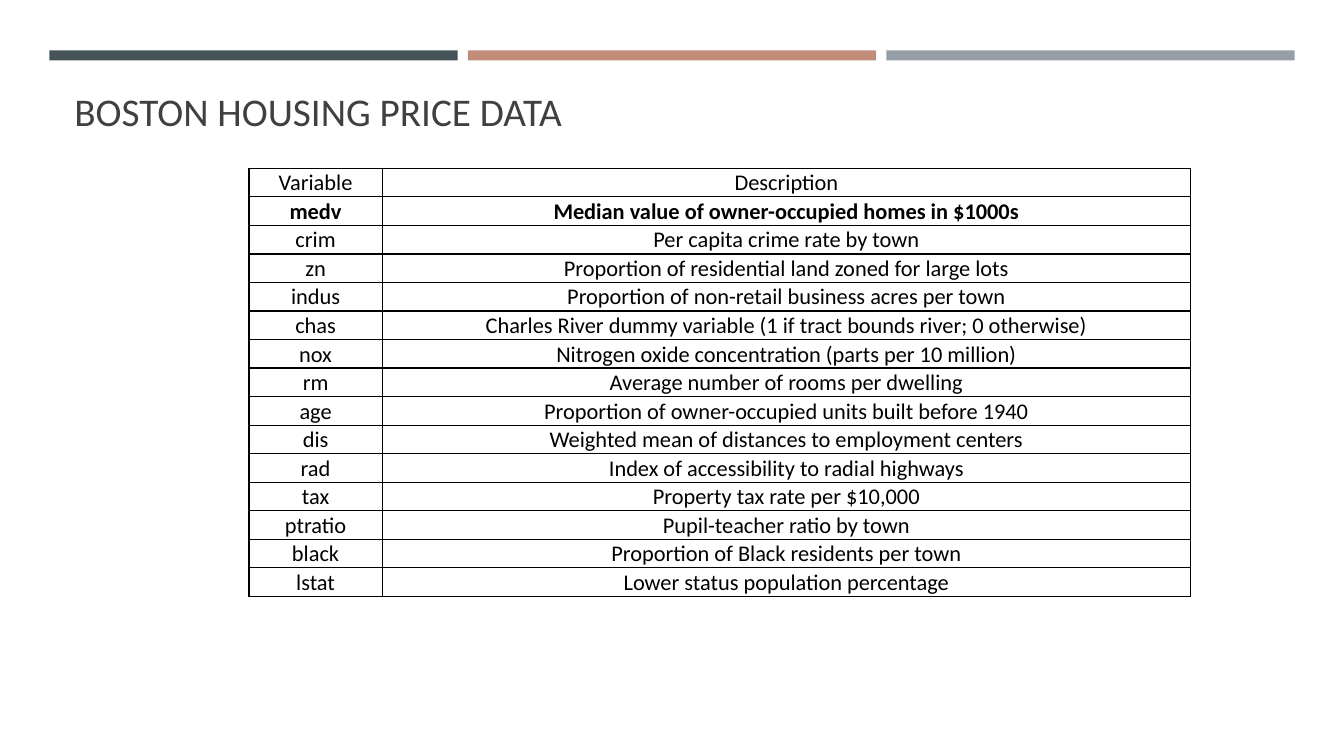
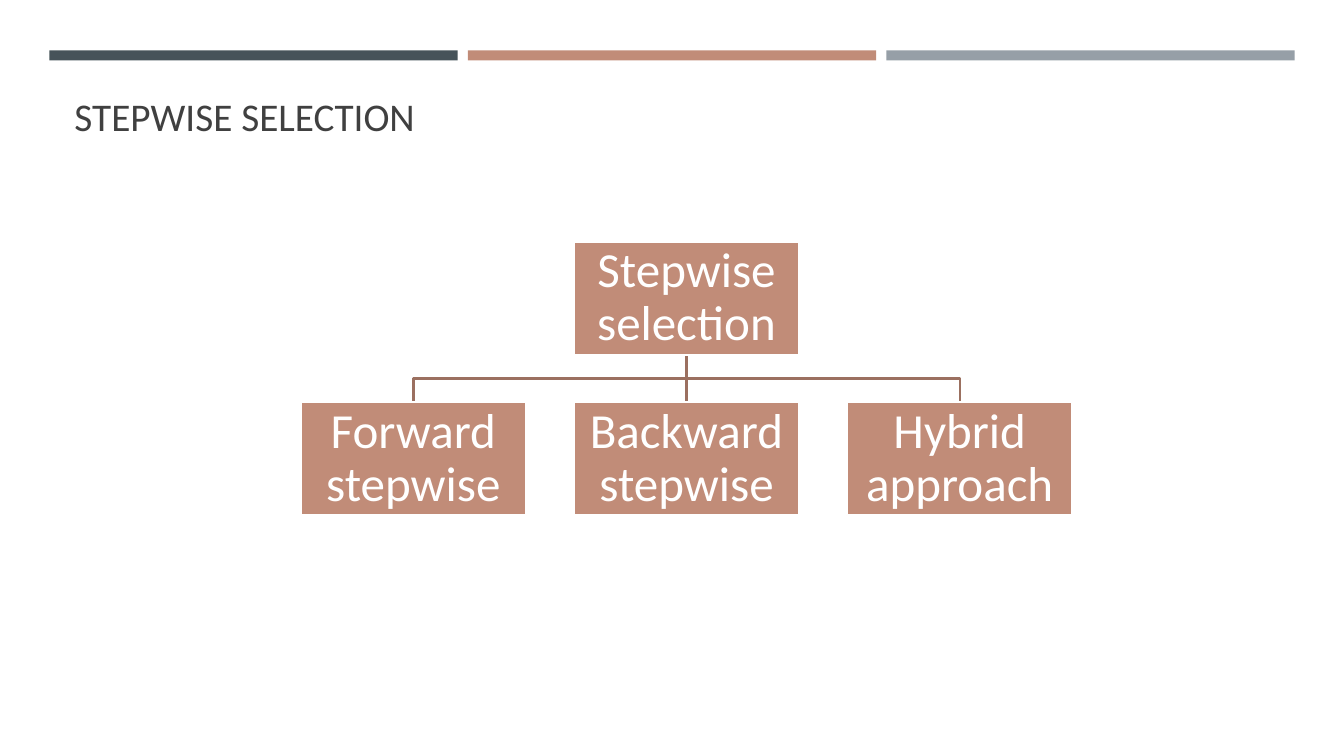
"""Build two slides: the Boston housing variables and the stepwise selection tree."""
from lxml import etree
from pptx import Presentation
from pptx.dml.color import RGBColor
from pptx.enum.shapes import MSO_CONNECTOR, MSO_SHAPE
from pptx.enum.text import MSO_ANCHOR, PP_ALIGN
from pptx.oxml import parse_xml
from pptx.oxml.ns import nsdecls, qn
from pptx.util import Inches, Pt

RECTANGLE = MSO_SHAPE.RECTANGLE
STRAIGHT = MSO_CONNECTOR.STRAIGHT
LEFT, CENTER = PP_ALIGN.LEFT, PP_ALIGN.CENTER
TOP, MIDDLE, BOTTOM = MSO_ANCHOR.TOP, MSO_ANCHOR.MIDDLE, MSO_ANCHOR.BOTTOM

COLORS = {
    "slate": "465359",
    "clay": "C18C78",
    "steel": "969FA7",
    "title": "404040",
    "branch": "9B7060",
    "black": "000000",
    "white": "FFFFFF",
}
FONT = "Calibri"

BAND_LEFT, BAND_TOP, BAND_WIDTH, BAND_HEIGHT, BAND_GAP = 0.49, 0.5, 4.05, 0.1, 0.1
TITLE_LEFT, TITLE_TOP, TITLE_WIDTH = 0.64, 0.77, 12.06

TABLE_LEFT, TABLE_TOP, TABLE_HEIGHT = 2.47, 1.67, 4.25
COLUMN_WIDTHS = [1.32, 8.02]
VARIABLES = [
    ("Variable", "Description"),
    ("medv", "Median value of owner-occupied homes in $1000s"),
    ("crim", "Per capita crime rate by town"),
    ("zn", "Proportion of residential land zoned for large lots"),
    ("indus", "Proportion of non-retail business acres per town"),
    ("chas", "Charles River dummy variable (1 if tract bounds river; 0 otherwise)"),
    ("nox", "Nitrogen oxide concentration (parts per 10 million)"),
    ("rm", "Average number of rooms per dwelling"),
    ("age", "Proportion of owner-occupied units built before 1940"),
    ("dis", "Weighted mean of distances to employment centers"),
    ("rad", "Index of accessibility to radial highways"),
    ("tax", "Property tax rate per $10,000"),
    ("ptratio", "Pupil-teacher ratio by town"),
    ("black", "Proportion of Black residents per town"),
    ("lstat", "Lower status population percentage"),
]

TREE_LEFT, TREE_TOP = 2.98, 2.4
NODE_WIDTH, NODE_HEIGHT = 2.24, 1.12
COLUMN_STEP, ROW_STEP = 2.71, 1.59
NODES = [
    ("Stepwise selection", 1, 0),
    ("Forward stepwise", 0, 1),
    ("Backward stepwise", 1, 1),
    ("Hybrid approach", 2, 1),
]


def write(frame, text, *, size, color, align=LEFT, bold=False, spacing=1.0):
    """Put one formatted paragraph into a text frame."""
    frame.word_wrap = True
    para = frame.paragraphs[0]
    para.alignment = align
    para.line_spacing = spacing
    span = para.add_run()
    span.text = text
    span.font.name = FONT
    span.font.size = Pt(size)
    span.font.bold = bold
    span.font.color.rgb = RGBColor.from_string(COLORS[color])


def add_page(deck, title, title_height):
    """Add a blank page with the three bands and a title."""
    page = deck.slides.add_slide(deck.slide_layouts[6])
    for column, color in enumerate(["slate", "clay", "steel"]):
        band = page.shapes.add_shape(
            RECTANGLE,
            Inches(BAND_LEFT + column * (BAND_WIDTH + BAND_GAP)),
            Inches(BAND_TOP),
            Inches(BAND_WIDTH),
            Inches(BAND_HEIGHT),
        )
        band.shadow.inherit = False
        band.fill.solid()
        band.fill.fore_color.rgb = RGBColor.from_string(COLORS[color])
        band.line.fill.background()
    box = page.shapes.add_textbox(
        Inches(TITLE_LEFT), Inches(TITLE_TOP), Inches(TITLE_WIDTH), Inches(title_height)
    )
    box.text_frame.vertical_anchor = BOTTOM
    write(box.text_frame, title, size=28, color="title")
    return page


deck = Presentation()
deck.slide_width = Inches(13.33)
deck.slide_height = Inches(7.5)

page = add_page(deck, "BOSTON HOUSING PRICE DATA", 0.61)
table = page.shapes.add_table(
    len(VARIABLES),
    len(COLUMN_WIDTHS),
    Inches(TABLE_LEFT),
    Inches(TABLE_TOP),
    Inches(sum(COLUMN_WIDTHS)),
    Inches(TABLE_HEIGHT),
).table
table.first_row = False
table.horz_banding = False
for column, width in zip(table.columns, COLUMN_WIDTHS):
    column.width = Inches(width)
for row, texts in enumerate(VARIABLES):
    for column, text in enumerate(texts):
        cell = table.cell(row, column)
        cell.margin_left = cell.margin_right = cell.margin_top = Inches(0.01)
        cell.margin_bottom = 0
        cell.vertical_anchor = TOP if row == 0 else BOTTOM
        write(cell.text_frame, text, size=16, color="black", align=CENTER, bold=row == 1)
        properties = cell._tc.get_or_add_tcPr()
        for side in ["lnL", "lnR", "lnT", "lnB"]:
            properties.append(parse_xml(
                f'<a:{side} {nsdecls("a")} w="{Pt(1)}"><a:solidFill>'
                f'<a:srgbClr val="{COLORS["black"]}"/></a:solidFill></a:{side}>'
            ))
        cell.fill.background()

page = add_page(deck, "STEPWISE SELECTION", 0.66)
root_center = TREE_LEFT + COLUMN_STEP + NODE_WIDTH / 2
root_bottom = TREE_TOP + NODE_HEIGHT
child_top = TREE_TOP + ROW_STEP
branch_middle = (root_bottom + child_top) / 2
branches = []
for side in [1, -1]:
    child_center = root_center + side * COLUMN_STEP
    outline = page.shapes.build_freeform(
        Inches(root_center), Inches(root_bottom), scale=1.0
    )
    outline.add_line_segments(
        [
            (Inches(root_center), Inches(branch_middle)),
            (Inches(child_center), Inches(branch_middle)),
            (Inches(child_center), Inches(child_top)),
        ],
        close=False,
    )
    branch = outline.convert_to_shape()
    branch.shadow.inherit = False
    branch.fill.background()
    branches.append(branch)

trunk = page.shapes.add_connector(
    STRAIGHT, Inches(root_center), Inches(root_bottom), Inches(root_center), Inches(child_top)
)
etree.SubElement(trunk.element.spPr, qn("a:effectLst"))
branches.append(trunk)
for branch in branches:
    branch.line.color.rgb = RGBColor.from_string(COLORS["branch"])
    branch.line.width = Pt(1.75)

boxes = {}
for text, column, row in NODES:
    box = page.shapes.add_shape(
        RECTANGLE,
        Inches(TREE_LEFT + column * COLUMN_STEP),
        Inches(TREE_TOP + row * ROW_STEP),
        Inches(NODE_WIDTH),
        Inches(NODE_HEIGHT),
    )
    box.shadow.inherit = False
    box.fill.solid()
    box.fill.fore_color.rgb = RGBColor.from_string(COLORS["clay"])
    box.line.color.rgb = RGBColor.from_string(COLORS["white"])
    box.line.width = Pt(1.75)
    frame = box.text_frame
    frame.margin_left = frame.margin_right = Inches(0.02)
    frame.margin_top = frame.margin_bottom = Inches(0.02)
    frame.vertical_anchor = MIDDLE
    write(frame, text, size=35, color="white", align=CENTER, spacing=0.9)
    boxes[column, row] = box

trunk.begin_connect(boxes[1, 0], 2)
trunk.end_connect(boxes[1, 1], 0)

deck.save("out.pptx")
